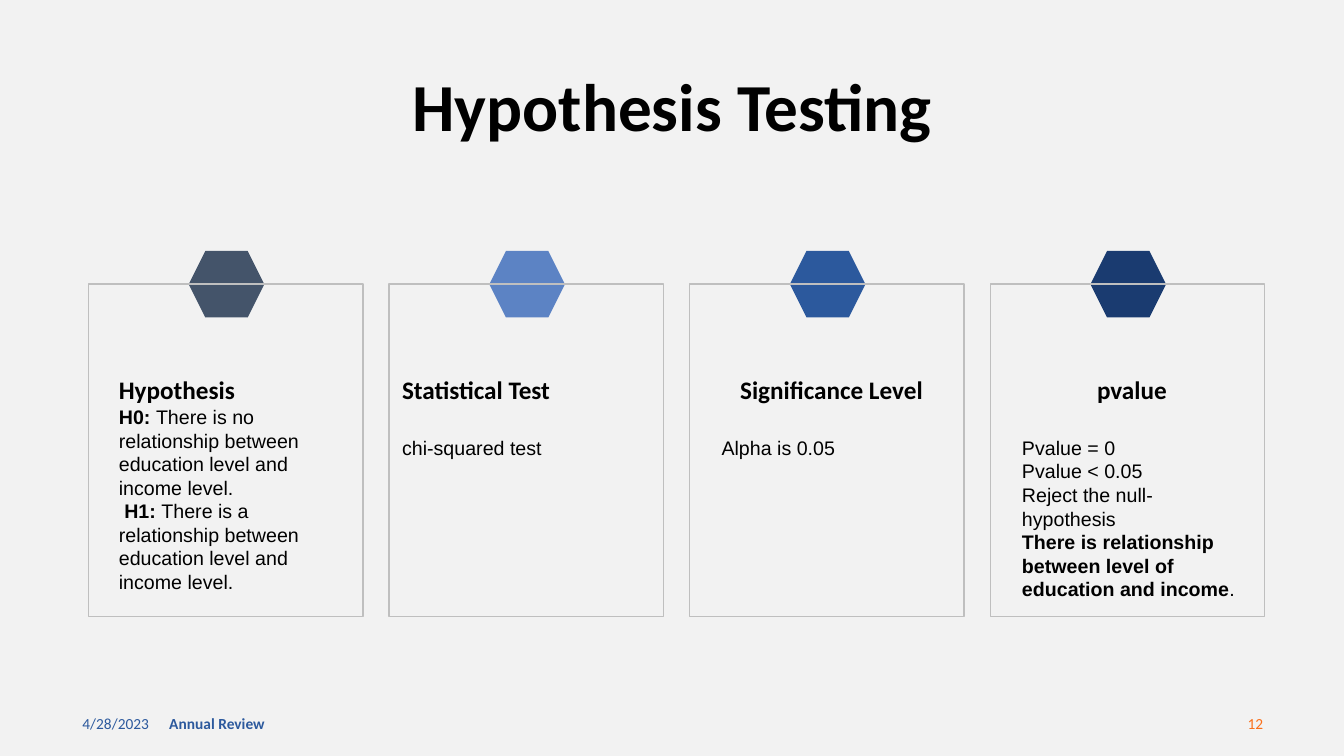
from pptx import Presentation
from pptx import util as u
from pptx.dml import color
from pptx.enum import shapes, text

LEFT, CENTER, RIGHT = text.PP_ALIGN.LEFT, text.PP_ALIGN.CENTER, text.PP_ALIGN.RIGHT
BLACK, BLUE, ORANGE, GREY = "000000", "2C599D", "FA6F1A", "BFBFBF"
CARD_PITCH = 214.7

CARDS = [
    ("44546A", 77.8, "Hypothesis", LEFT, 0, [
        [("H0: ", True),
         ("There is no relationship between education level and income level.", False)],
        [(" H1: ", True),
         ("There is a relationship between education level and income level.", False)],
    ]),
    ("5C83C4", 280.1, "Statistical Test", LEFT, 22, [[("chi-squared test", False)]]),
    (BLUE, 508.3, "Significance Level", CENTER, 22, [[("Alpha is 0.05", False)]]),
    ("1A3B70", 722.9, "pvalue", CENTER, 22, [
        [("Pvalue = 0", False)],
        [("Pvalue < 0.05", False)],
        [("Reject the null-hypothesis", False)],
        [("There is relationship between level of education and income", True),
         (".", False)],
    ]),
]


def rgb(value):
    return color.RGBColor.from_string(value)


def place(shape, left, top, width, height):
    shape.left, shape.top = u.Pt(left), u.Pt(top)
    shape.width, shape.height = u.Pt(width), u.Pt(height)


def add_run(paragraph, words, size, font="Calibri", bold=False, fill=BLACK):
    run = paragraph.add_run()
    run.text = words
    run.font.size = u.Pt(size)
    run.font.name = font
    run.font.bold = bold
    run.font.color.rgb = rgb(fill)


def add_text_frame(slide, left, top, width, height):
    box = slide.shapes.add_textbox(u.Pt(left), u.Pt(top), u.Pt(width), u.Pt(height))
    box.text_frame.word_wrap = True
    return box.text_frame


def add_shape(slide, kind, left, top, width, height, fill=None, line=None):
    shape = slide.shapes.add_shape(kind, u.Pt(left), u.Pt(top), u.Pt(width), u.Pt(height))
    shape.shadow.inherit = False
    if fill:
        shape.fill.solid()
        shape.fill.fore_color.rgb = rgb(fill)
    else:
        shape.fill.background()
    if line:
        shape.line.color.rgb = rgb(line)
        shape.line.width = u.Pt(1)
    else:
        shape.line.fill.background()


def set_title(slide, words):
    title = slide.shapes.title
    place(title, 33.8, 51, 893, 55.4)
    frame = title.text_frame
    frame.auto_size = text.MSO_AUTO_SIZE.NONE
    frame.vertical_anchor = text.MSO_ANCHOR.MIDDLE
    paragraph = frame.paragraphs[0]
    paragraph.alignment = CENTER
    paragraph.line_spacing = 0.9
    add_run(paragraph, words, 48, bold=True)


def add_footer(slide, words, left, width, fill, bold=False, alignment=LEFT):
    frame = add_text_frame(slide, left, 502.6, width, 28.8)
    frame.vertical_anchor = text.MSO_ANCHOR.MIDDLE
    frame.paragraphs[0].alignment = alignment
    add_run(frame.paragraphs[0], words, 11, bold=bold, fill=fill)


def add_card_text(slide, left, heading, alignment, gap, lines):
    frame = add_text_frame(slide, left, 264.2, 164.2, 167.8)
    frame.margin_right = 0
    paragraph = frame.paragraphs[0]
    paragraph.alignment = alignment
    paragraph.space_after = u.Pt(gap)
    add_run(paragraph, heading, 18, bold=True)
    for line in lines:
        paragraph = frame.add_paragraph()
        paragraph.alignment = LEFT
        for words, bold in line:
            add_run(paragraph, words, 14, "Arial", bold)


def add_card(slide, index, fill, text_left, heading, alignment, gap, lines):
    offset = index * CARD_PITCH
    add_shape(slide, shapes.MSO_SHAPE.HEXAGON, 134.8 + offset, 179.3, 54, 47.5, fill=fill)
    add_shape(slide, shapes.MSO_SHAPE.RECTANGLE, 63.3 + offset, 203, 196, 237.6, line=GREY)
    add_card_text(slide, text_left, heading, alignment, gap, lines)


def main():
    presentation = Presentation()
    presentation.slide_width, presentation.slide_height = u.Pt(960), u.Pt(540)
    slide = presentation.slides.add_slide(presentation.slide_layouts[5])
    slide.background.fill.solid()
    slide.background.fill.fore_color.rgb = rgb("F2F2F2")
    set_title(slide, "Hypothesis Testing")
    for index, card in enumerate(CARDS):
        add_card(slide, index, *card)
    add_footer(slide, "4/28/2023", 51.8, 216, BLUE)
    add_footer(slide, "Annual Review", 113.8, 324, BLUE, bold=True)
    add_footer(slide, "12", 693.4, 216, ORANGE, alignment=RIGHT)
    presentation.save("out.pptx")


if __name__ == "__main__":
    main()
